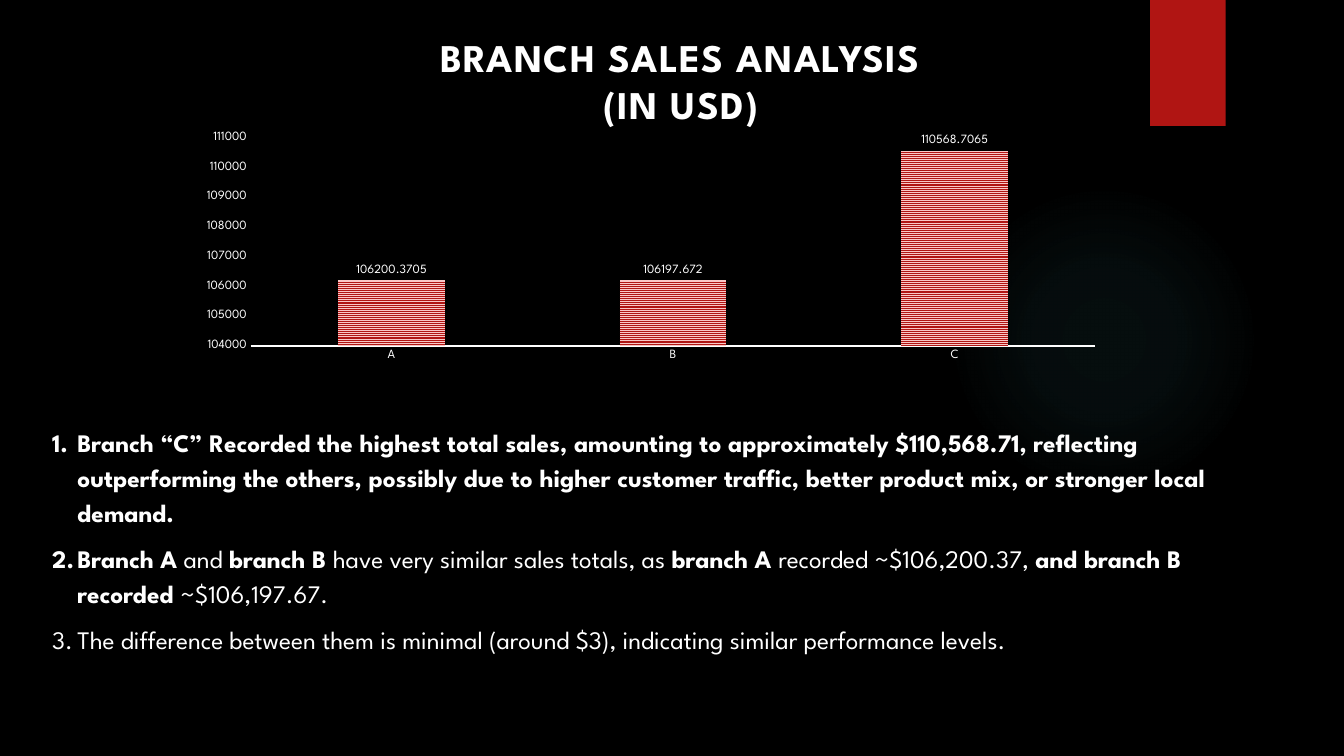
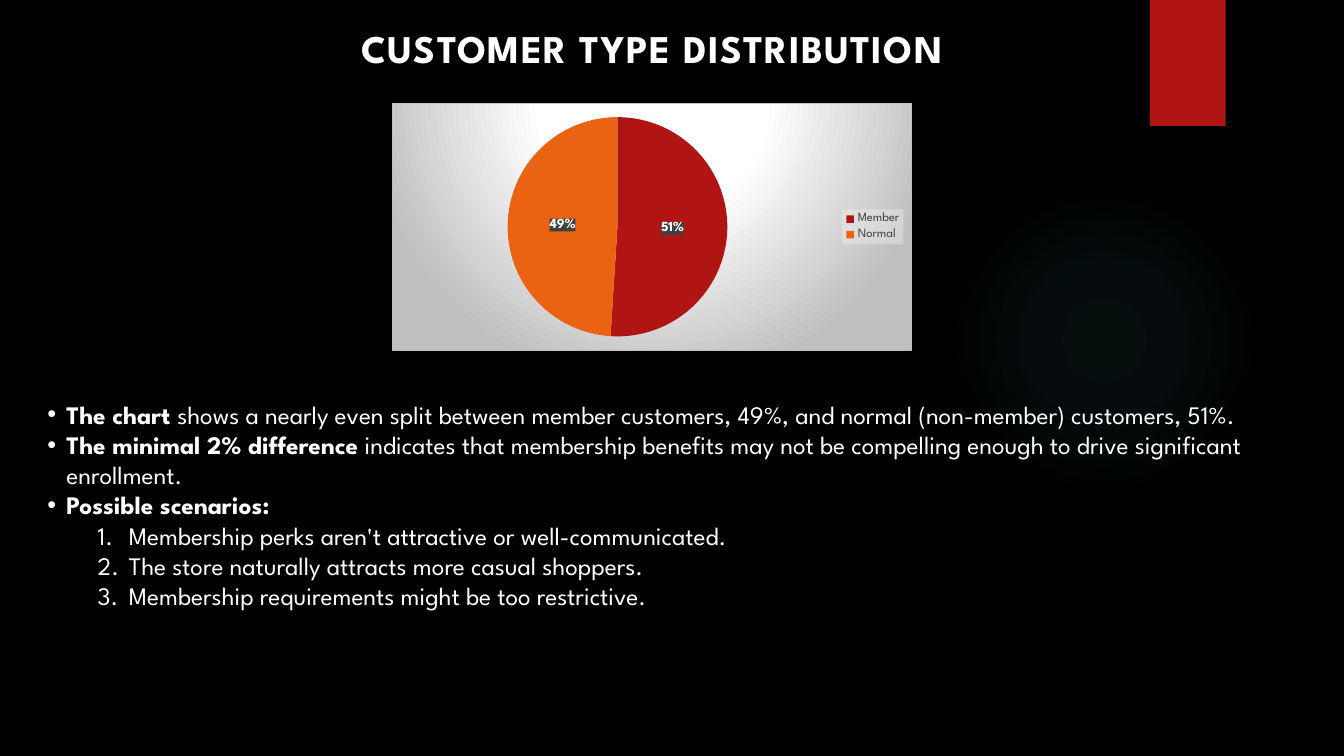
import dataclasses
import typing

import lxml.etree
import pptx
import pptx.chart.chart
import pptx.chart.data
import pptx.chart.datalabel
import pptx.dml.color
import pptx.enum.chart
import pptx.enum.dml
import pptx.enum.shapes
import pptx.enum.text
import pptx.oxml
import pptx.oxml.ns
import pptx.presentation
import pptx.slide
import pptx.text.text
import pptx.util

RGB = pptx.dml.color.RGBColor
BLACK = RGB(0x00, 0x00, 0x00)
WHITE = RGB(0xFF, 0xFF, 0xFF)
RED = RGB(0xB0, 0x15, 0x13)
ORANGE = RGB(0xEA, 0x63, 0x12)
PINK = RGB(0xF9, 0xC7, 0xC6)
TEAL = RGB(0x50, 0xB9, 0xC1)
SILVER = RGB(0xBF, 0xBF, 0xBF)
MIST = RGB(0xF2, 0xF2, 0xF2)
CHARCOAL = RGB(0x40, 0x40, 0x40)

FONT = "League Spartan"
TITLE_SIZE, BODY_SIZE, CHART_SIZE, LABEL_SIZE = 28, 18, 10, 9
SLIDE_WIDTH = pptx.util.Inches(13.333)
SLIDE_HEIGHT = pptx.util.Inches(7.5)
DRAWING_NS = 'xmlns:a="http://schemas.openxmlformats.org/drawingml/2006/main"'
CHART_NS = 'xmlns:c="http://schemas.openxmlformats.org/drawingml/2006/chart"'


class Area(typing.NamedTuple):
    """A rectangle in percent of the slide's width and height."""
    left: float
    top: float
    width: float
    height: float

    def lengths(self) -> list[int]:
        sides = (SLIDE_WIDTH, SLIDE_HEIGHT) * 2
        return [round(side * share / 100) for side, share in zip(sides, self)]


class Stop(typing.NamedTuple):
    position: int
    color: RGB
    opacity: int = 100


class Span(typing.NamedTuple):
    text: str
    bold: bool = False


class ListStyle(typing.NamedTuple):
    """Lengths in inches; an empty bullet means automatic numbers."""
    margin: float
    hanging: float
    bullet: str = ""
    level: int = 0
    line_spacing: float = 1.0
    space_after: int = 0


@dataclasses.dataclass(frozen=True)
class Item:
    style: ListStyle
    spans: tuple[Span, ...]


GLOW = Area(70.58, 24.4, 23.1, 41.07)
FLAG = Area(85.58, 0, 5.62, 16.67)
FINDING = ListStyle(0.25, 0.25, line_spacing=1.15, space_after=8)
POINT = ListStyle(0.19, 0.19, "•")
SCENARIO = ListStyle(0.81, 0.31, level=1)

BRANCH_ITEMS = (
    Item(FINDING, (Span(
        "Branch “C” Recorded the highest total sales, amounting to approximately "
        "$110,568.71, reflecting outperforming the others, possibly due to higher "
        "customer traffic, better product mix, or stronger local demand.", True),)),
    Item(FINDING, (
        Span("Branch A", True), Span(" and "), Span("branch B ", True),
        Span("have very similar sales totals, as "), Span("branch A ", True),
        Span("recorded ~$106,200.37, "), Span("and branch B recorded ", True),
        Span("~$106,197.67."))),
    Item(FINDING, (Span(
        "The difference between them is minimal (around $3), indicating similar "
        "performance levels."),)),
)
CUSTOMER_ITEMS = (
    Item(POINT, (Span("The chart ", True), Span(
        "shows a nearly even split between member customers, 49%, and normal "
        "(non-member) customers, 51%."))),
    Item(POINT, (Span("The minimal 2% difference", True), Span(
        " indicates that membership benefits may not be compelling enough to drive "
        "significant enrollment."))),
    Item(POINT, (Span("Possible scenarios:", True),)),
    Item(SCENARIO, (Span("Membership perks aren't attractive or well-communicated."),)),
    Item(SCENARIO, (Span("The store naturally attracts more casual shoppers."),)),
    Item(SCENARIO, (Span("Membership requirements might be too restrictive."),)),
)


def color_xml(color: RGB, opacity: int = 100) -> str:
    return f'<a:srgbClr val="{color}"><a:alpha val="{opacity * 1000}"/></a:srgbClr>'


def radial_xml(stops: tuple[Stop, ...], top: int, bottom: int, namespace: str = "") -> str:
    """Circular gradient around the middle, focused between top and bottom percent."""
    stop_list = "".join(
        f'<a:gs pos="{stop.position * 1000}">{color_xml(stop.color, stop.opacity)}</a:gs>'
        for stop in stops)
    return (f'<a:gradFill {namespace} rotWithShape="1"><a:gsLst>{stop_list}</a:gsLst>'
            f'<a:path path="circle"><a:fillToRect l="50000" t="{top * 1000}" '
            f'r="50000" b="{bottom * 1000}"/></a:path></a:gradFill>')


def chart_fill(content: str) -> lxml.etree.ElementBase:
    return pptx.oxml.parse_xml(f"<c:spPr {CHART_NS} {DRAWING_NS}>{content}</c:spPr>")


def solid_fill(color: RGB, opacity: int) -> lxml.etree.ElementBase:
    return chart_fill(f"<a:solidFill>{color_xml(color, opacity)}</a:solidFill>")


def set_font(font: pptx.text.text.Font, size: int, color: RGB = WHITE,
             bold: bool = False) -> None:
    font.name = FONT
    font.size = pptx.util.Pt(size)
    font.bold = bold
    font.color.rgb = color


def add_shape(slide: pptx.slide.Slide, kind: pptx.enum.shapes.MSO_SHAPE, area: Area):
    shape = slide.shapes.add_shape(kind, *area.lengths())
    shape.shadow.inherit = False
    shape.line.fill.background()
    return shape


def add_base_slide(deck: pptx.presentation.Presentation) -> pptx.slide.Slide:
    """Black slide with the soft glow and the red flag."""
    slide = deck.slides.add_slide(deck.slide_layouts[6])
    slide.background.fill.solid()
    slide.background.fill.fore_color.rgb = BLACK
    glow = add_shape(slide, pptx.enum.shapes.MSO_SHAPE.OVAL, GLOW)
    stops = (Stop(0, TEAL, 7), Stop(36, TEAL, 6), Stop(69, TEAL, 0))
    geometry = glow.element.spPr.find(pptx.oxml.ns.qn("a:prstGeom"))
    geometry.addnext(pptx.oxml.parse_xml(radial_xml(stops, 50, 50, DRAWING_NS)))
    flag = add_shape(slide, pptx.enum.shapes.MSO_SHAPE.RECTANGLE, FLAG)
    flag.fill.solid()
    flag.fill.fore_color.rgb = RED
    return slide


def add_text_frame(slide: pptx.slide.Slide, area: Area) -> pptx.text.text.TextFrame:
    frame = slide.shapes.add_textbox(*area.lengths()).text_frame
    frame.word_wrap = True
    frame.auto_size = pptx.enum.text.MSO_AUTO_SIZE.SHAPE_TO_FIT_TEXT
    return frame


def add_title(slide: pptx.slide.Slide, area: Area, *lines: str) -> None:
    para = add_text_frame(slide, area).paragraphs[0]
    para.alignment = pptx.enum.text.PP_ALIGN.CENTER
    for index, line in enumerate(lines):
        if index:
            para.add_line_break()
        span = para.add_run()
        span.text = line
        set_font(span.font, TITLE_SIZE, bold=True)
        span._r.get_or_add_rPr().set("spc", "100")


def style_list_para(para: pptx.text.text._Paragraph, style: ListStyle) -> None:
    para.level = style.level
    para.line_spacing = style.line_spacing
    para.space_after = pptx.util.Pt(style.space_after)
    properties = para._p.get_or_add_pPr()
    properties.set("marL", str(pptx.util.Inches(style.margin)))
    properties.set("indent", str(-pptx.util.Inches(style.hanging)))
    if style.bullet:
        marks = (("a:buFont", "typeface", "Arial"), ("a:buChar", "char", style.bullet))
    else:
        marks = (("a:buFont", "typeface", FONT), ("a:buAutoNum", "type", "arabicPeriod"))
    for tag, name, value in marks:
        mark = lxml.etree.SubElement(properties, pptx.oxml.ns.qn(tag))
        mark.set(name, value)


def add_list(slide: pptx.slide.Slide, area: Area, items: tuple[Item, ...]) -> None:
    frame = add_text_frame(slide, area)
    for index, item in enumerate(items):
        para = frame.add_paragraph() if index else frame.paragraphs[0]
        style_list_para(para, item.style)
        for part in item.spans:
            span = para.add_run()
            span.text = part.text
            set_font(span.font, BODY_SIZE, bold=part.bold)


def add_chart(slide: pptx.slide.Slide, kind: pptx.enum.chart.XL_CHART_TYPE, area: Area,
              values: dict[str, float]) -> pptx.chart.chart.Chart:
    data = pptx.chart.data.CategoryChartData()
    data.categories = list(values)
    data.add_series("Series 1", list(values.values()))
    chart = slide.shapes.add_chart(kind, *area.lengths(), data).chart
    chart.has_title = False
    chart.has_legend = False
    set_font(chart.font, CHART_SIZE)
    chart.plots[0].vary_by_categories = False
    return chart


def set_plot_layout(chart: pptx.chart.chart.Chart, **shares: float) -> None:
    """Place the inner plot area by shares x, y, w and h of the chart."""
    plot_area = chart.element.find(".//" + pptx.oxml.ns.qn("c:plotArea"))
    for layout in plot_area.findall(pptx.oxml.ns.qn("c:layout")):
        plot_area.remove(layout)
    settings = {"layoutTarget": "inner", "xMode": "edge", "yMode": "edge", **shares}
    content = "".join(f'<c:{name} val="{value}"/>' for name, value in settings.items())
    plot_area.insert(0, pptx.oxml.parse_xml(
        f"<c:layout {CHART_NS}><c:manualLayout>{content}</c:manualLayout></c:layout>"))


def add_branch_chart(slide: pptx.slide.Slide, area: Area) -> None:
    chart = add_chart(slide, pptx.enum.chart.XL_CHART_TYPE.COLUMN_CLUSTERED, area,
                      {"A": 106200.3705, "B": 106197.672, "C": 110568.7065})
    set_plot_layout(chart, x=0.066, y=0.105, w=0.911, h=0.775)
    plot = chart.plots[0]
    plot.gap_width, plot.overlap = 164, -22
    for axis in (chart.category_axis, chart.value_axis):
        axis.has_major_gridlines = False
        axis.major_tick_mark = pptx.enum.chart.XL_TICK_MARK.NONE
        axis.minor_tick_mark = pptx.enum.chart.XL_TICK_MARK.NONE
        set_font(axis.tick_labels.font, LABEL_SIZE)
    chart.category_axis.format.line.color.rgb = WHITE
    chart.category_axis.format.line.width = pptx.util.Pt(1.5)
    values = chart.value_axis
    values.format.line.fill.background()
    values.minimum_scale, values.maximum_scale, values.major_unit = 104000, 111000, 1000

    series = plot.series[0]
    fill = series.format.fill
    fill.patterned()
    fill.pattern = pptx.enum.dml.MSO_PATTERN.NARROW_HORIZONTAL
    fill.fore_color.rgb, fill.back_color.rgb = RED, PINK
    labels = series.data_labels
    labels.show_value = True
    labels.position = pptx.enum.chart.XL_LABEL_POSITION.OUTSIDE_END
    set_font(labels.font, LABEL_SIZE)


def add_customer_chart(slide: pptx.slide.Slide, area: Area) -> None:
    chart = add_chart(slide, pptx.enum.chart.XL_CHART_TYPE.PIE, area,
                      {"Member": 51, "Normal": 49})
    stops = (Stop(0, WHITE), Stop(39, WHITE), Stop(100, SILVER))
    border = f'<a:ln w="9525"><a:solidFill>{color_xml(SILVER)}</a:solidFill></a:ln>'
    chart.element.find(pptx.oxml.ns.qn("c:chart")).addnext(
        chart_fill(radial_xml(stops, -80, 180) + border))

    chart.has_legend = True
    legend = chart.legend
    legend.position = pptx.enum.chart.XL_LEGEND_POSITION.RIGHT
    legend.include_in_layout = False
    set_font(legend.font, LABEL_SIZE, CHARCOAL)
    legend_text = legend._element.find(pptx.oxml.ns.qn("c:txPr"))
    legend_text.addprevious(solid_fill(MIST, 39))

    series = chart.plots[0].series[0]
    for index, color in enumerate((RED, ORANGE)):
        fill = series.points[index].format.fill
        fill.solid()
        fill.fore_color.rgb = color
    labels = series.data_labels
    labels.show_percentage, labels.show_value = True, False
    labels.number_format, labels.number_format_is_linked = "0%", False
    labels.position = pptx.enum.chart.XL_LABEL_POSITION.CENTER
    set_font(labels.font, CHART_SIZE, bold=True)
    label_text = labels._element.find(pptx.oxml.ns.qn("c:txPr"))
    label_text.addprevious(solid_fill(CHARCOAL, 90))


def main() -> None:
    deck = pptx.Presentation()
    deck.slide_width, deck.slide_height = SLIDE_WIDTH, SLIDE_HEIGHT

    branches = add_base_slide(deck)
    add_branch_chart(branches, Area(14.1, 14.53, 69, 35.47))
    add_list(branches, Area(3.15, 55.33, 92.33, 31.73), BRANCH_ITEMS)
    add_title(branches, Area(23.78, 3.73, 53.78, 13.87), "BRANCH SALES ANALYSIS", "(IN USD)")

    customers = add_base_slide(deck)
    add_customer_chart(customers, Area(29.18, 13.6, 38.7, 32.8))
    add_list(customers, Area(2.78, 52.13, 98.55, 33.6), CUSTOMER_ITEMS)
    add_title(customers, Area(22.58, 2.53, 51.9, 7.6), "CUSTOMER TYPE DISTRIBUTION")

    deck.save("out.pptx")


if __name__ == "__main__":
    main()
